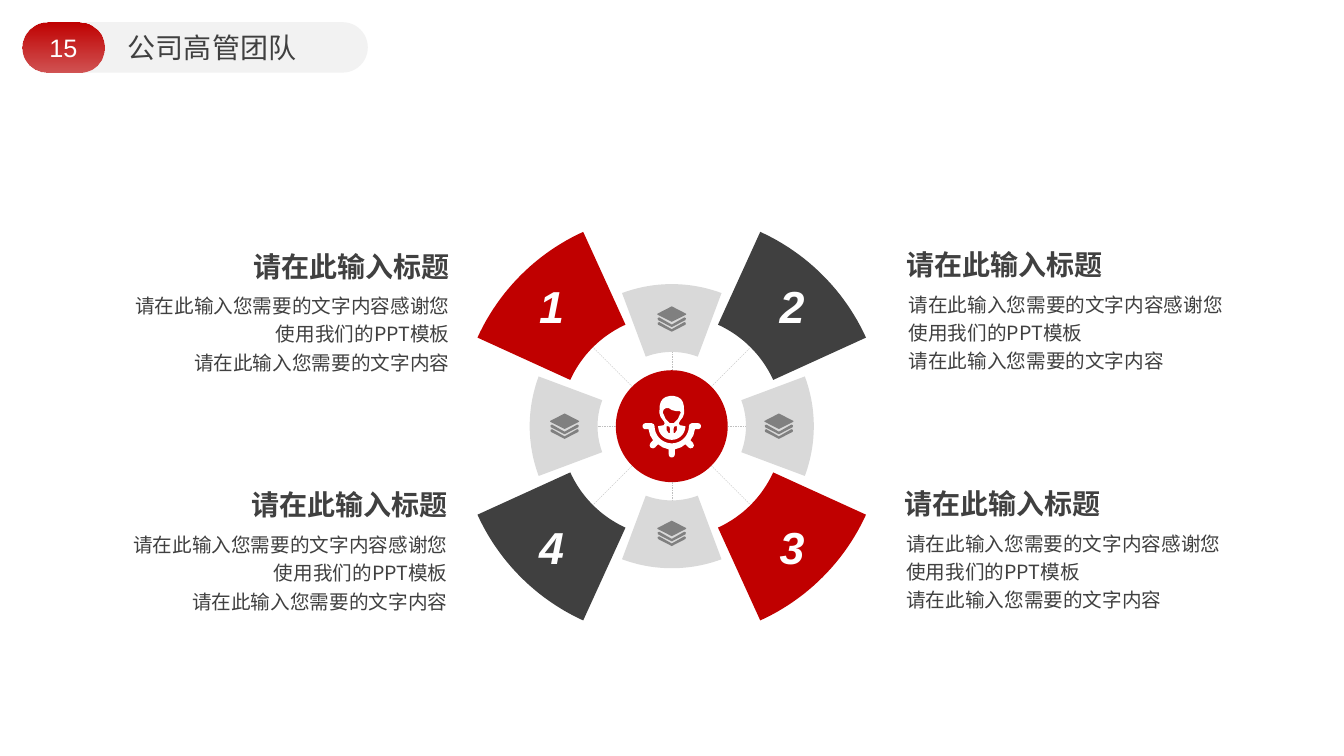
from math import cos, radians, sin

from lxml.etree import SubElement
from pptx import Presentation
from pptx.dml.color import RGBColor
from pptx.enum.dml import MSO_LINE
from pptx.enum.shapes import MSO_CONNECTOR, MSO_SHAPE
from pptx.enum.text import MSO_ANCHOR, MSO_AUTO_SIZE, PP_ALIGN
from pptx.oxml.ns import qn
from pptx.util import Cm, Pt

COLORS = {
    "red": "C00000", "dark": "404040", "pale": "D9D9D9", "white": "FFFFFF",
    "icon": "808080", "spoke": "BFBFBF", "banner": "F2F2F2",
}
LATIN, CHINESE = "Arial", "Noto Sans CJK SC"
HUB = (16.93, 10.74)
HUB_RADIUS = 1.41
HALF_SPAN = 20.5
NUMBERED_RADII = (2.81, 5.38)
PLAIN_RADII = (1.87, 3.58)
LAYERS_DISTANCE = 2.7
ICON_UNIT = 0.0254

# Numbered blades: angle clockwise from the right, label, colour
NUMBERED = [(-135, "1", "red"), (-45, "2", "dark"), (45, "3", "red"), (135, "4", "dark")]
PLAIN_ANGLES = (-90, 0, 90, 180)

HEADING = "请在此输入标题"
DETAILS = ["请在此输入您需要的文字内容感谢您使用我们的PPT模板", "请在此输入您需要的文字内容"]
# Captions: outer edge of the text next to the wheel, top, alignment
CAPTIONS = [
    (11.58, 6.15, PP_ALIGN.RIGHT), (22.6, 6.12, PP_ALIGN.LEFT),
    (11.53, 12.17, PP_ALIGN.RIGHT), (22.54, 12.14, PP_ALIGN.LEFT),
]


def rgb(name):
    return RGBColor.from_string(COLORS[name])


def style_font(paragraph, size, color, face=LATIN, bold=False, italic=False):
    for run in paragraph.runs:
        font = run.font
        font.size, font.bold, font.italic, font.name = Pt(size), bold, italic, face
        font.color.rgb = rgb(color)
        SubElement(run._r.rPr, qn("a:ea"), typeface=CHINESE)


def paint(shape, color):
    shape.shadow.inherit = False
    shape.line.fill.background()
    shape.fill.solid()
    shape.fill.fore_color.rgb = rgb(color)


def polar(radius, angle, center=HUB):
    return (center[0] + radius * cos(radians(angle)),
            center[1] + radius * sin(radians(angle)))


def arc(radius, start, end, center=HUB, steps=24):
    return [polar(radius, start + (end - start) * i / steps, center)
            for i in range(steps + 1)]


def add_outline(slide, contours, color):
    """Draw closed contours, given in centimetres, as one filled shape."""
    contours = [[(Cm(x), Cm(y)) for x, y in contour] for contour in contours]
    builder = slide.shapes.build_freeform(*contours[0][0])
    for index, contour in enumerate(contours):
        if index:
            builder.move_to(*contour[0])
        builder.add_line_segments(contour[1:], close=True)
    outline = builder.convert_to_shape()
    paint(outline, color)
    return outline


def add_icon(slide, center, contours, color):
    """Place contours given in hundredths of an inch around a centre."""
    placed = [[(center[0] + x * ICON_UNIT, center[1] + y * ICON_UNIT)
               for x, y in contour] for contour in contours]
    add_outline(slide, placed, color)


def mirrored(half):
    return half + [(-x, y) for x, y in reversed(half)]


def add_blade(slide, angle, radii, color, label=""):
    start, end = angle - HALF_SPAN, angle + HALF_SPAN
    inner, outer = radii
    blade = add_outline(slide, [arc(outer, start, end) + arc(inner, end, start)], color)
    if label:
        frame = blade.text_frame
        frame.text = label
        frame.vertical_anchor = MSO_ANCHOR.MIDDLE
        frame.paragraphs[0].alignment = PP_ALIGN.CENTER
        style_font(frame.paragraphs[0], 32, "white", bold=True, italic=True)


def add_spoke(slide, angle, length):
    ends = polar(HUB_RADIUS, angle) + polar(length, angle)
    spoke = slide.shapes.add_connector(MSO_CONNECTOR.STRAIGHT, *map(Cm, ends))
    spoke.line.color.rgb = rgb("spoke")
    spoke.line.width = Pt(0.25)
    spoke.line.dash_style = MSO_LINE.DASH
    SubElement(spoke._element.spPr, qn("a:effectLst"))


def add_helmsman(slide):
    origin = (0, 0)
    rim = mirrored(
        arc(17, 90, 0, origin)
        + [(17.8, -2), (20, -3)]
        + arc(3, -90, 90, (26, 0), 8)
        + [(23, 3), (21.5, 9), (18.5, 14), (21, 16.5), (22, 19), (21, 21.3), (18.5, 22),
           (16.5, 21), (13.5, 18), (9, 21), (3, 23)]
        + arc(3, 0, 90, (0, 28), 6))
    person = mirrored(
        [(0, -30), (2, -30), (6, -29), (9, -27), (11, -24), (12, -20), (12.3, -13),
         (11, -9), (8, -5), (7, -3), (8, -1)]
        + arc(13.5, 0, 90, origin))
    face = [(-3, -18), (-6, -17.8), (-8, -16.5), (-9, -13.5), (-8, -11.5), (-6, -7), (-2, -3),
            (2, -3), (6, -7), (8, -11.5), (9, -13.5), (8, -15), (4, -15), (0, -16)]
    lapel = [(4, 0), (2.3, 0.5), (1.7, 3), (2, 7), (3, 7), (5, 4), (5, 0)]
    other_lapel = [(-x, y) for x, y in lapel]
    add_icon(slide, HUB, [rim, person, face, lapel, other_lapel], "white")


def add_layers(slide, center):
    sheet = [(0, -12.6), (14.3, -5.2), (14.3, -4.4), (0, 2.8), (-14.3, -4.4), (-14.3, -5.2)]
    edge = mirrored([(0, 5.5), (12.5, -1.6), (14, -0.8), (13.7, 1), (0, 8)])
    # The lower half of the chevron runs back to the left tip
    edge = edge[:5] + [(-x, y) for x, y in edge[3:0:-1]]
    lower_edge = [(x, y + 4.6) for x, y in edge]
    add_icon(slide, center, [sheet, edge, lower_edge], "icon")


def add_wheel(slide):
    x, y = (Cm(c - HUB_RADIUS) for c in HUB)
    hub = slide.shapes.add_shape(MSO_SHAPE.OVAL, x, y, *[Cm(2 * HUB_RADIUS)] * 2)
    paint(hub, "red")
    add_helmsman(slide)
    for angle, label, color in NUMBERED:
        add_spoke(slide, angle, NUMBERED_RADII[0])
        add_blade(slide, angle, NUMBERED_RADII, color, label)
    for angle in PLAIN_ANGLES:
        add_spoke(slide, angle, PLAIN_RADII[0])
        add_blade(slide, angle, PLAIN_RADII, "pale")
        add_layers(slide, polar(LAYERS_DISTANCE, angle))


def add_text(slide, box, lines, size, align, bold=False, wrap=False, spacing=1.0):
    frame = slide.shapes.add_textbox(*map(Cm, box)).text_frame
    frame.word_wrap = wrap
    frame.text = "\n".join(lines)
    for paragraph in frame.paragraphs:
        paragraph.alignment = align
        paragraph.line_spacing = spacing
        style_font(paragraph, size, "dark", CHINESE, bold)


def add_caption(slide, edge, top, align):
    if align == PP_ALIGN.RIGHT:
        heading_left, details_left, details_width = edge - 5.51, edge - 8.69, 8.69
    else:
        heading_left, details_left, details_width = edge, edge + 0.05, 8.46
    add_text(slide, (heading_left, top, 5.51, 1.12), [HEADING], 20, align, bold=True)
    add_text(slide, (details_left, top + 1.02, details_width, 2.36), DETAILS, 14, align,
             wrap=True, spacing=1.2)


def add_pill(slide, width):
    pill = slide.shapes.add_shape(MSO_SHAPE.ROUNDED_RECTANGLE,
                                  Cm(0.56), Cm(0.56), Cm(width), Cm(1.27))
    pill.adjustments[0] = 0.5
    paint(pill, "banner")
    return pill


def add_header(slide, number, heading):
    add_pill(slide, 8.71)
    badge = add_pill(slide, 2.08)
    badge.fill.gradient()
    badge.fill.gradient_angle = 270
    for stop in badge.fill.gradient_stops:
        stop.color.rgb = rgb("red")
    faded = badge.fill._fill._gradFill.findall(".//" + qn("a:srgbClr"))[-1]
    SubElement(faded, qn("a:alpha"), val="65000")
    title = slide.shapes.title
    title.left, title.top, title.width, title.height = map(Cm, (2.97, 0.64, 4.78, 1.12))
    slide.shapes._spTree.append(title._element)
    for shape, text, size, color, align in (
            (badge, number, 18, "white", PP_ALIGN.CENTER),
            (title, heading, 20, "dark", PP_ALIGN.LEFT)):
        frame = shape.text_frame
        frame.text = text
        frame.word_wrap = False
        frame.auto_size = MSO_AUTO_SIZE.NONE
        frame.vertical_anchor = MSO_ANCHOR.MIDDLE
        frame.paragraphs[0].alignment = align
        style_font(frame.paragraphs[0], size, color)


def main():
    deck = Presentation()
    deck.slide_width, deck.slide_height = Cm(33.87), Cm(19.05)
    slide = deck.slides.add_slide(deck.slide_layouts[5])
    add_header(slide, "15", "公司高管团队")
    add_wheel(slide)
    for edge, top, align in CAPTIONS:
        add_caption(slide, edge, top, align)
    deck.save("out.pptx")


if __name__ == "__main__":
    main()
